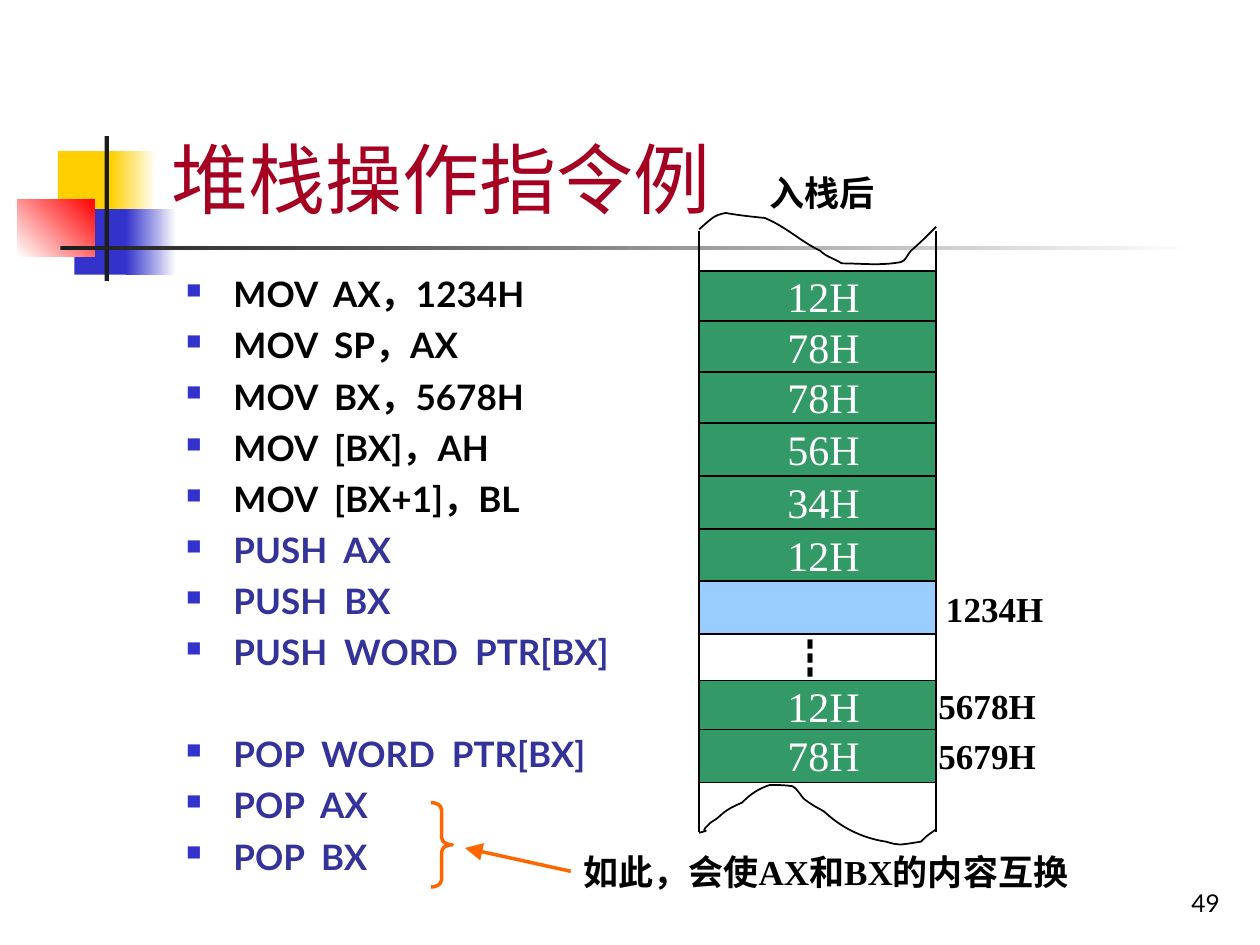
import pptx
import pptx.dml.color
import pptx.enum.shapes
import pptx.enum.text
import pptx.oxml
import pptx.oxml.ns
import pptx.util

SHAPES = pptx.enum.shapes.MSO_SHAPE
ALIGN = pptx.enum.text.PP_ALIGN
ANCHOR = pptx.enum.text.MSO_ANCHOR
CELL = pptx.util.Inches(0.1)  # the slide is a grid of 100 columns by 75 rows
SERIF, SANS, CJK = "Times New Roman", "Lato", "Noto Sans CJK SC"

STACK_LEFT, STACK_RIGHT, CELL_HEIGHT = 55.5, 74.3, 4.2
PUSHED = [(21.5, "12H"), (25.5, "78H"), (29.5, "78H"), (33.6, "56H"),
          (37.8, "34H"), (42, "12H"), (46.1, "")]
STORED = [(54, "12H"), (57.9, "78H")]
INSTRUCTIONS = [
    "MOV  AX，1234H", "MOV  SP，AX", "MOV  BX，5678H", "MOV  [BX]，AH",
    "MOV  [BX+1]，BL", "PUSH  AX", "PUSH  BX", "PUSH  WORD  PTR[BX]",
    "POP  WORD  PTR[BX]", "POP  AX", "POP  BX",
]
# A start point, then three points for each Bézier curve
TOP_WAVE = [
    (55.5, 18.2), (55.7, 18), (56.5, 17.3), (56.7, 17.2),
    (57, 17), (57.6, 16.9), (57.6, 16.9), (58.7, 17.1), (59.7, 17.2), (60.7, 17.3),
    (62.4, 18), (63.6, 19.2), (65.1, 19.9), (65.6, 20.4), (66.2, 20.5), (66.8, 20.9),
    (68.3, 20.9), (69.9, 21.1), (71.5, 20.8), (71.9, 20.7), (72, 20.2), (72.3, 19.9),
    (73, 19.3), (73.6, 18.7), (74.3, 18),
]
BOTTOM_WAVE = [
    (55.5, 66.1), (56.8, 65.7), (55.3, 66.3), (56.2, 65.5),
    (56.4, 65.2), (56.8, 65.1), (57.1, 64.8), (57.6, 64.3), (58.2, 64), (58.9, 63.7),
    (59.6, 63), (60.2, 62.6), (61.1, 62.3), (61.7, 62.3), (62.3, 62.3), (62.9, 62.4),
    (63.2, 62.5), (63.6, 63.2), (63.8, 63.4), (64.6, 64), (64.7, 64), (65.4, 64.4),
    (66.8, 65.7), (68.4, 66.5), (70.3, 66.8), (71.4, 67.1), (71.2, 67.1), (73.1, 66.8),
    (73.3, 66.7), (73.3, 66.5), (73.5, 66.4), (73.6, 66.3), (73.8, 66.2), (73.9, 66.1),
    (74.1, 66), (74.3, 65.8), (74.3, 65.8),
]


def grid(*lengths):
    return [round(length * CELL) for length in lengths]


def color(hex_string):
    return pptx.dml.color.RGBColor.from_string(hex_string)


def drawing_element(tag, attributes="", content=""):
    return pptx.oxml.parse_xml(
        f'<a:{tag} {pptx.oxml.ns.nsdecls("a")} {attributes}>{content}</a:{tag}>')


def set_line(shape, hex_string, width=1):
    shape.line.color.rgb = color(hex_string)
    shape.line.width = pptx.util.Pt(width)


def format_paragraph(paragraph, size, font, hex_string, bold=False):
    for run in paragraph.runs:
        run.font.size = pptx.util.Pt(size)
        run.font.name = font
        run.font.bold = bold
        run.font.color.rgb = color(hex_string)
        latin = run.font._element.find(pptx.oxml.ns.qn("a:latin"))
        latin.addnext(drawing_element("ea", f'typeface="{CJK}"'))


def add_rectangle(slide, box, fill, fade=None, angle=0):
    """Add a borderless rectangle, fading from fill to fade if one is given."""
    shape = slide.shapes.add_shape(SHAPES.RECTANGLE, *grid(*box))
    shape.shadow.inherit = False
    shape.line.fill.background()
    if fade:
        shape.fill.gradient()
        shape.fill.gradient_angle = angle
        for stop, hex_string in zip(shape.fill.gradient_stops, (fill, fade)):
            stop.color.rgb = color(hex_string)
    else:
        shape.fill.solid()
        shape.fill.fore_color.rgb = color(fill)
    return shape


def add_text(slide, box, text, size=20, font=SERIF, hex_string="000000",
             bold=True, align=ALIGN.LEFT, anchor=ANCHOR.TOP):
    shape = slide.shapes.add_textbox(*grid(*box))
    frame = shape.text_frame
    frame.word_wrap = True
    frame.vertical_anchor = anchor
    frame.text = text
    frame.paragraphs[0].alignment = align
    format_paragraph(frame.paragraphs[0], size, font, hex_string, bold)
    return shape


def add_line(slide, start, end, hex_string="000000", width=1):
    connector = slide.shapes.add_connector(
        pptx.enum.shapes.MSO_CONNECTOR.STRAIGHT, *grid(*start, *end))
    set_line(connector, hex_string, width)
    connector._element.spPr.append(drawing_element("effectLst"))
    return connector


def add_curve(slide, points):
    """Draw an open outline, each three points after the first making one curve."""
    builder = slide.shapes.build_freeform(*grid(*points[0]))
    builder.add_line_segments([grid(*point) for point in points[1:]], close=False)
    shape = builder.convert_to_shape()
    segments = list(shape._element.iter(pptx.oxml.ns.qn("a:lnTo")))
    for first in range(0, len(segments), 3):
        curve = drawing_element("cubicBezTo")
        segments[first].addprevious(curve)
        for segment in segments[first:first + 3]:
            curve.append(segment[0])
            segment.getparent().remove(segment)
    shape.shadow.inherit = False
    shape.fill.background()
    set_line(shape, "000000")


def add_memory_cell(slide, top, value):
    box = (STACK_LEFT, top, STACK_RIGHT - STACK_LEFT, CELL_HEIGHT)
    set_line(add_rectangle(slide, box, "339966" if value else "99CCFF"), "000000")
    if value:
        add_text(slide, (61.5, top - 0.5, 9.2, 5), value, 24, SERIF, "FFFFFF", False)


def add_decoration(slide):
    add_rectangle(slide, (4.6, 12, 4.8, 5.2), "FFCF01")
    add_rectangle(slide, (8.8, 12, 3.6, 5.2), "FFCF01", "FFFFFF")
    add_rectangle(slide, (5.9, 16.6, 4.6, 5.2), "3333CC")
    add_rectangle(slide, (10, 16.6, 4, 5.2), "3333CC", "FFFFFF")
    add_rectangle(slide, (1.4, 15.8, 6.1, 4.6), "FFFFFF", "FF0000", 45)
    add_rectangle(slide, (8.3, 10.8, 0.35, 11.5), "1C1C1C")
    add_rectangle(slide, (4.8, 19.5, 90, 0.35), "1C1C1C", "FFFFFF")


def add_instructions(slide):
    shape = slide.shapes.add_textbox(*grid(13.8, 21, 73.3, 49.6))
    frame = shape.text_frame
    frame.word_wrap = True
    frame.text = "\n".join(INSTRUCTIONS)
    indent, = grid(3.75)
    for index, paragraph in enumerate(frame.paragraphs):
        properties = paragraph._p.get_or_add_pPr()
        properties.set("marL", str(indent))
        properties.set("indent", str(-indent))
        properties.append(drawing_element("buClr", content='<a:srgbClr val="3333CC"/>'))
        properties.append(drawing_element("buSzPct", 'val="60000"'))
        properties.append(drawing_element("buChar", 'char="■"'))
        starts_pops = paragraph.text.startswith("POP  WORD")
        paragraph.line_spacing = 1.05
        paragraph.space_before = pptx.util.Pt(32.3 if starts_pops else 3 if index else 0)
        paragraph.space_after = pptx.util.Pt(1)
        is_move = paragraph.text.startswith("MOV")
        format_paragraph(paragraph, 20, SANS, "000000" if is_move else "333399", True)


def add_stack(slide):
    for top, value in PUSHED + STORED:
        add_memory_cell(slide, top, value)
    for side in (STACK_LEFT, STACK_RIGHT):
        add_line(slide, (side, 18.3), (side, 66))
    add_curve(slide, TOP_WAVE)
    add_curve(slide, BOTTOM_WAVE)
    add_text(slide, (61.7, 49.7, 6.7, 5), "┇", 24, CJK, bold=False)
    add_text(slide, (60.1, 13.1, 11.7, 4.3), "入栈后")
    for left, top, address in ((74.1, 46.1, "1234H"), (73.5, 53.8, "5678H"),
                               (73.5, 57.8, "5679H")):
        add_text(slide, (left, top, 10.3, 4.3), address)


def add_note(slide):
    brace = slide.shapes.add_shape(SHAPES.RIGHT_BRACE, *grid(34.2, 63.7, 1.7, 6.7))
    brace.shadow.inherit = False
    brace.fill.background()
    brace.adjustments[0] = 0.33
    set_line(brace, "FF6600", 2)
    note = add_text(slide, (45.3, 67, 44.2, 4.3), "如此，会使AX和BX的内容互换")
    arrow = add_line(slide, (45.3, 69), (36.9, 67.3), "FF6600", 2)
    arrow.begin_connect(note, 1)
    arrow.line._get_or_add_ln().append(
        drawing_element("tailEnd", 'type="triangle" w="lg" len="lg"'))


def main():
    presentation = pptx.Presentation()
    presentation.slide_width, presentation.slide_height = grid(100, 75)
    slide = presentation.slides.add_slide(presentation.slide_layouts[6])
    add_decoration(slide)
    add_text(slide, (12.6, 2.3, 85.2, 16), "堆栈操作指令例", 44, SANS, "A50021",
             bold=False, anchor=ANCHOR.BOTTOM)
    add_instructions(slide)
    add_stack(slide)
    add_note(slide)
    add_text(slide, (77, 68.3, 20.8, 5), "49", 14, SANS, bold=False,
             align=ALIGN.RIGHT, anchor=ANCHOR.BOTTOM)
    presentation.save("out.pptx")


if __name__ == "__main__":
    main()
